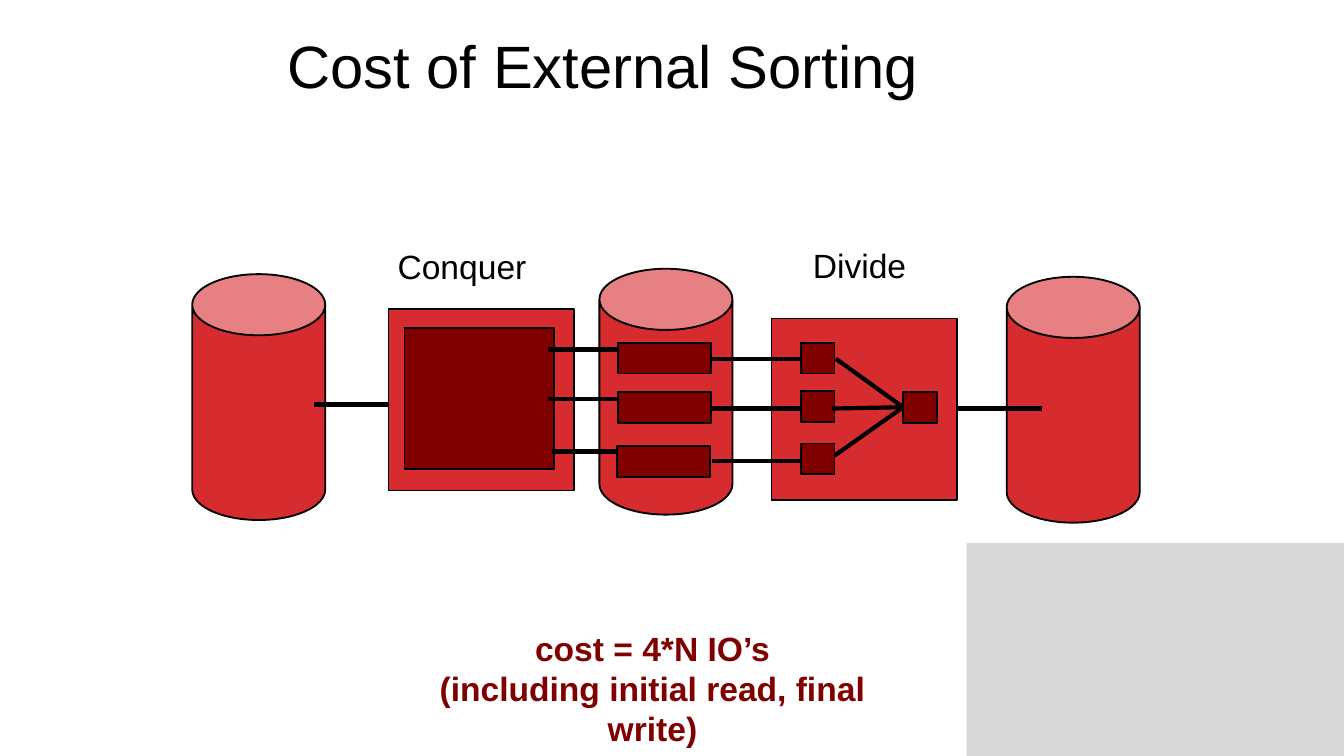
import pptx
import pptx.util
import pptx.dml.color
import pptx.enum.shapes
import pptx.enum.text
import pptx.oxml.ns
import lxml.etree

Inches = pptx.util.Inches
Pt = pptx.util.Pt
RGBColor = pptx.dml.color.RGBColor
MSO_SHAPE = pptx.enum.shapes.MSO_SHAPE
PP_ALIGN = pptx.enum.text.PP_ALIGN
MSO_ANCHOR = pptx.enum.text.MSO_ANCHOR

COLORS = {"panel": "D9D9D9", "disk": "D72C2F", "memory": "800000", "ink": "000000"}
SLIDE_WIDTH = 10
SLIDE_HEIGHT = SLIDE_WIDTH * 9 / 16

presentation = pptx.Presentation()
presentation.slide_width = Inches(SLIDE_WIDTH)
presentation.slide_height = Inches(SLIDE_HEIGHT)
slide = presentation.slides.add_slide(presentation.slide_layouts[6])


def add_block(kind, left, top, width, height, color, outlined=True):
    shape = slide.shapes.add_shape(kind, Inches(left), Inches(top), Inches(width), Inches(height))
    shape.shadow.inherit = False
    shape.fill.solid()
    shape.fill.fore_color.rgb = RGBColor.from_string(COLORS[color])
    if outlined:
        shape.line.color.rgb = RGBColor.from_string(COLORS["ink"])
        shape.line.width = Pt(1)
    else:
        shape.line.fill.background()
    return shape


def add_links(links):
    for start_x, start_y, end_x, end_y in links:
        connector = slide.shapes.add_connector(
            pptx.enum.shapes.MSO_CONNECTOR.STRAIGHT,
            Inches(start_x), Inches(start_y), Inches(end_x), Inches(end_y))
        connector.line.color.rgb = RGBColor.from_string(COLORS["ink"])
        connector.line.width = Pt(2.25)
        properties = connector._element.spPr
        lxml.etree.SubElement(properties, pptx.oxml.ns.qn("a:effectLst"))


add_block(MSO_SHAPE.RECTANGLE, 7.19, 4.04, SLIDE_WIDTH - 7.19, SLIDE_HEIGHT - 4.04, "panel", outlined=False)

for left, top in [(1.43, 2.04), (7.49, 2.06), (4.46, 2)]:
    disk = add_block(MSO_SHAPE.CAN, left, top, 0.99, 1.83, "disk")
    disk.adjustments[0] = 0.46

for left, top in [(4.6, 2.55), (4.6, 2.92), (4.59, 3.32)]:
    add_block(MSO_SHAPE.RECTANGLE, left, top, 0.69, 0.23, "memory")

add_links([(7.75, 3.04, 6.97, 3.04)])
add_block(MSO_SHAPE.RECTANGLE, 5.74, 2.37, 1.38, 1.35, "disk")
for left, top in [(6.72, 2.92), (5.96, 2.55), (5.96, 2.91), (5.96, 3.3)]:
    add_block(MSO_SHAPE.RECTANGLE, left, top, 0.25, 0.23, "memory")
add_links([(x, y, 6.72, 3.03) for x, y in [(6.19, 3.04), (6.22, 2.67), (6.21, 3.39)]])
add_links([(5.96, y, 5.3, y) for y in (2.67, 3.04, 3.43)])

texts = [
    (["Cost of External Sorting"], 2.04, 0.01, 6.38, 0.94, 32, "ink", True),
    (["Divide"], 5.95, 1.77, 0.9, 0.4, 18, "ink", False),
    (["Conquer"], 2.86, 1.78, 1.18, 0.4, 18, "ink", False),
    (["cost = 4*N IO’s", "(including initial read, final write)"],
     2.81, 4.62, 4.09, 0.71, 18, "memory", True),
]
for lines, left, top, width, height, size, color, wrapped in texts:
    box = slide.shapes.add_textbox(Inches(left), Inches(top), Inches(width), Inches(height))
    frame = box.text_frame
    frame.word_wrap = wrapped
    frame.vertical_anchor = MSO_ANCHOR.MIDDLE if size == 32 else MSO_ANCHOR.TOP
    paragraph = frame.paragraphs[0]
    paragraph.alignment = PP_ALIGN.CENTER if color == "memory" else PP_ALIGN.LEFT
    for index, line in enumerate(lines):
        if index:
            paragraph.add_line_break()
        run = paragraph.add_run()
        run.text = line
        run.font.name = "Arial"
        run.font.size = Pt(size)
        run.font.bold = color == "memory"
        run.font.color.rgb = RGBColor.from_string(COLORS[color])

add_links([(2.34, 3.01, 2.95, 3.01)])
add_block(MSO_SHAPE.RECTANGLE, 2.89, 2.3, 1.38, 1.35, "disk")
add_block(MSO_SHAPE.RECTANGLE, 3.01, 2.44, 1.11, 1.05, "memory")
add_links([(x, y, 4.59, y) for x, y in [(4.08, 2.6), (4.08, 2.97), (4.11, 3.36)]])

presentation.save("out.pptx")
